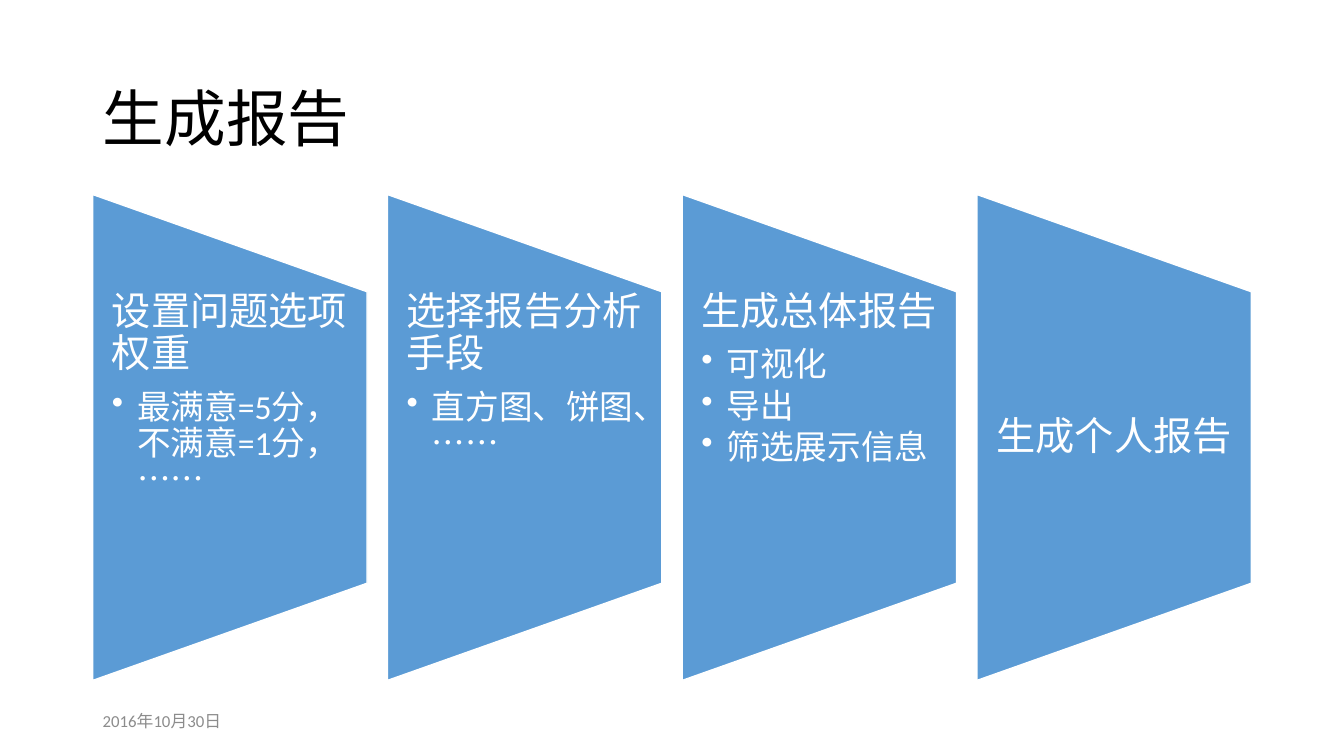
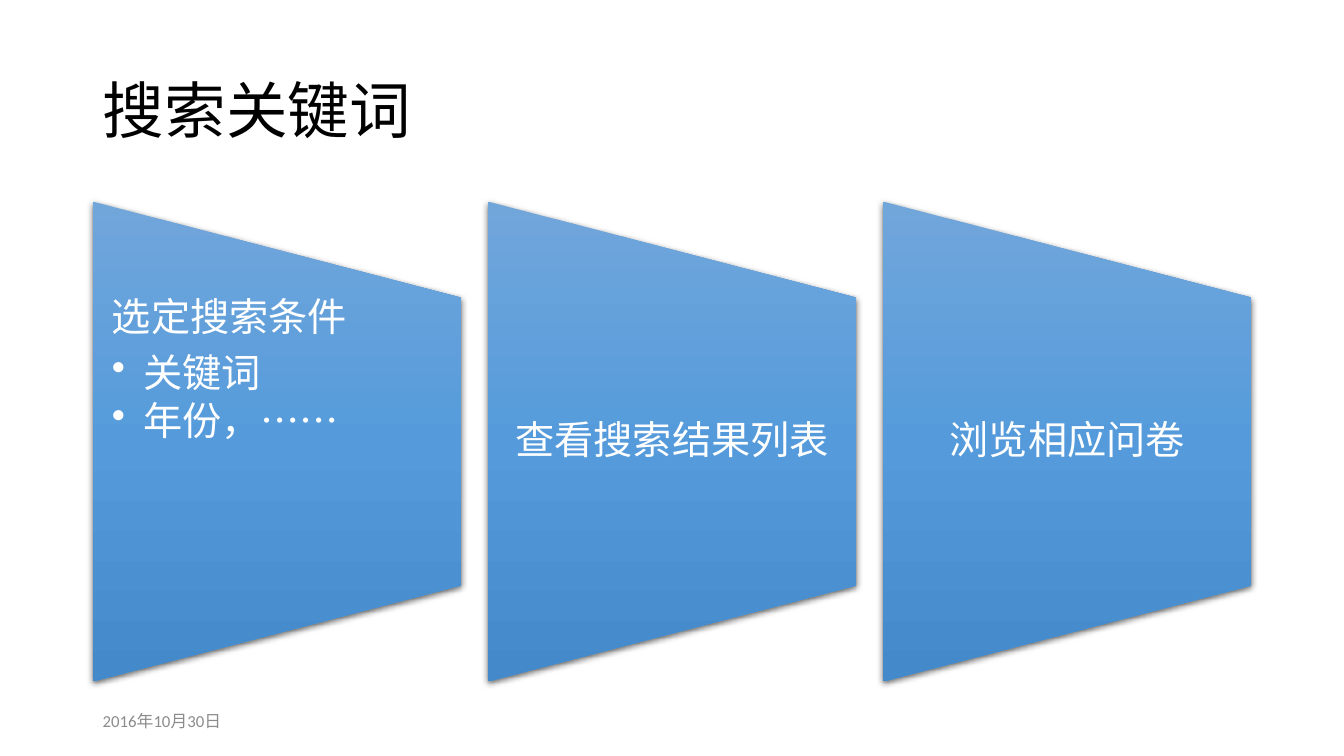
import dataclasses

import pptx
import pptx.dml.color
import pptx.enum.lang
import pptx.enum.shapes
import pptx.enum.text
import pptx.oxml
import pptx.oxml.ns
import pptx.util

Inches = pptx.util.Inches
Pt = pptx.util.Pt
Anchor = pptx.enum.text.MSO_ANCHOR
Align = pptx.enum.text.PP_ALIGN


@dataclasses.dataclass(frozen=True)
class Theme:
    font: str = "Calibri"
    title_color: str = "000000"
    panel_text: str = "FFFFFF"
    panel_fill: str = "5B9BD5"
    panel_line: str = "FFFFFF"
    date_color: str = "8C8C8C"
    gradient: tuple = ((0, "71A6DB"), (50, "559BDB"), (100, "448ACA"))
    title_size: int = 44
    heading_size: int = 28
    date_size: int = 12
    line_spacing: float = 0.9
    heading_gap: float = 0.35
    bullet_gap: float = 0.15


@dataclasses.dataclass(frozen=True)
class PanelRow:
    middle: float
    panel_width: float
    panel_height: float
    bullet_size: int
    bullet_indent: float
    raised: bool = False
    left: float = 0.92
    span: float = 11.49


class DeckBuilder:
    def __init__(self, theme):
        self.theme = theme
        self.deck = pptx.Presentation()
        self.deck.slide_width = Inches(13.33)
        self.deck.slide_height = Inches(7.5)
        self.page = None

    def color(self, value):
        return pptx.dml.color.RGBColor.from_string(value)

    def add_page(self, title, title_top):
        self.page = self.deck.slides.add_slide(self.deck.slide_layouts[5])
        box = self.page.shapes.title
        box.left, box.top = Inches(0.92), Inches(title_top)
        box.width, box.height = Inches(11.5), Inches(1.45)
        frame = box.text_frame
        frame.word_wrap = True
        frame.vertical_anchor = Anchor.MIDDLE
        para = frame.paragraphs[0]
        para.alignment = Align.LEFT
        para.line_spacing = self.theme.line_spacing
        self.add_span(para, title, self.theme.title_size, self.theme.title_color)
        self.add_date("2016年10月30日")

    def add_span(self, para, text, size, color):
        span = para.add_run()
        span.text = text
        span.font.name = self.theme.font
        span.font.size = Pt(size)
        span.font.color.rgb = self.color(color)
        span.font.language_id = pptx.enum.lang.MSO_LANGUAGE_ID.SIMPLIFIED_CHINESE

    def add_box(self, left, top, width, height, anchor):
        box = self.page.shapes.add_textbox(
            Inches(left), Inches(top), Inches(width), Inches(height))
        box.text_frame.word_wrap = True
        box.text_frame.vertical_anchor = anchor
        return box.text_frame

    def add_date(self, text):
        frame = self.add_box(0.92, 6.95, 3, 0.4, Anchor.MIDDLE)
        self.add_span(frame.paragraphs[0], text,
                      self.theme.date_size, self.theme.date_color)

    def add_panels(self, row, panels):
        step = (row.span - row.panel_width) / (len(panels) - 1)
        for index, (heading, bullets) in enumerate(panels):
            left = row.left + index * step
            self.add_panel_shape(row, left)
            self.add_panel_text(row, left, heading, bullets)

    def add_panel_shape(self, row, left):
        shape = self.page.shapes.add_shape(
            pptx.enum.shapes.MSO_SHAPE.FLOWCHART_MANUAL_OPERATION,
            Inches(left + (row.panel_width - row.panel_height) / 2),
            Inches(row.middle - row.panel_width / 2),
            Inches(row.panel_height), Inches(row.panel_width))
        shape.rotation = 270
        shape.shadow.inherit = False
        if row.raised:
            shape.line.fill.background()
            self.fill_gradient(shape)
            self.cast_shadow(shape)
        else:
            shape.fill.solid()
            shape.fill.fore_color.rgb = self.color(self.theme.panel_fill)
            shape.line.color.rgb = self.color(self.theme.panel_line)
            shape.line.width = Pt(1)

    def fill_gradient(self, shape):
        shape.fill.gradient()
        properties = shape._element.spPr
        stops = "".join(
            f'<a:gs pos="{position * 1000}"><a:srgbClr val="{color}"/></a:gs>'
            for position, color in self.theme.gradient)
        gradient = pptx.oxml.parse_xml(
            f'<a:gradFill {pptx.oxml.ns.nsdecls("a")} rotWithShape="0">'
            f'<a:gsLst>{stops}</a:gsLst><a:lin ang="5400000" scaled="0"/></a:gradFill>')
        properties.replace(properties.find(pptx.oxml.ns.qn("a:gradFill")), gradient)

    def cast_shadow(self, shape):
        effects = shape._element.spPr.find(pptx.oxml.ns.qn("a:effectLst"))
        effects.append(pptx.oxml.parse_xml(
            f'<a:outerShdw {pptx.oxml.ns.nsdecls("a")} blurRad="{Pt(4.5)}" '
            f'dist="{Pt(1.5)}" dir="5400000" algn="ctr" rotWithShape="0">'
            '<a:srgbClr val="000000"><a:alpha val="63000"/></a:srgbClr></a:outerShdw>'))

    def add_panel_text(self, row, left, heading, bullets):
        theme = self.theme
        height = row.panel_height * 0.6
        frame = self.add_box(left, row.middle - height / 2, row.panel_width, height,
                             Anchor.TOP if bullets else Anchor.MIDDLE)
        frame.margin_left = frame.margin_right = Inches(0.19)
        frame.margin_top = frame.margin_bottom = 0
        para = frame.paragraphs[0]
        para.alignment = Align.LEFT if bullets else Align.CENTER
        para.line_spacing = theme.line_spacing
        para.space_after = Pt(theme.heading_size * theme.heading_gap)
        self.add_span(para, heading, theme.heading_size, theme.panel_text)
        for text in bullets:
            self.add_bullet(frame, text, row)

    def add_bullet(self, frame, text, row):
        para = frame.add_paragraph()
        para.level = 1
        para.line_spacing = self.theme.line_spacing
        para.space_after = Pt(row.bullet_size * self.theme.bullet_gap)
        properties = para._p.get_or_add_pPr()
        properties.set("marL", str(Inches(row.bullet_indent)))
        properties.set("indent", str(-Inches(row.bullet_indent)))
        properties.append(pptx.oxml.parse_xml(
            f'<a:buChar {pptx.oxml.ns.nsdecls("a")} char="•"/>'))
        self.add_span(para, text, row.bullet_size, self.theme.panel_text)


def main():
    builder = DeckBuilder(Theme())

    builder.add_page("生成报告", 0.48)
    builder.add_panels(PanelRow(4.34, 2.72, 4.82, 24, 0.25), [
        ("设置问题选项权重", ["最满意=5分，不满意=1分，……"]),
        ("选择报告分析手段", ["直方图、饼图、……"]),
        ("生成总体报告", ["可视化", "导出", "筛选展示信息"]),
        ("生成个人报告", []),
    ])

    builder.add_page("搜索关键词", 0.4)
    builder.add_panels(PanelRow(4.38, 3.65, 4.76, 28, 0.31, raised=True), [
        ("选定搜索条件", ["关键词", "年份，……"]),
        ("查看搜索结果列表", []),
        ("浏览相应问卷", []),
    ])

    builder.deck.save("out.pptx")


if __name__ == "__main__":
    main()
